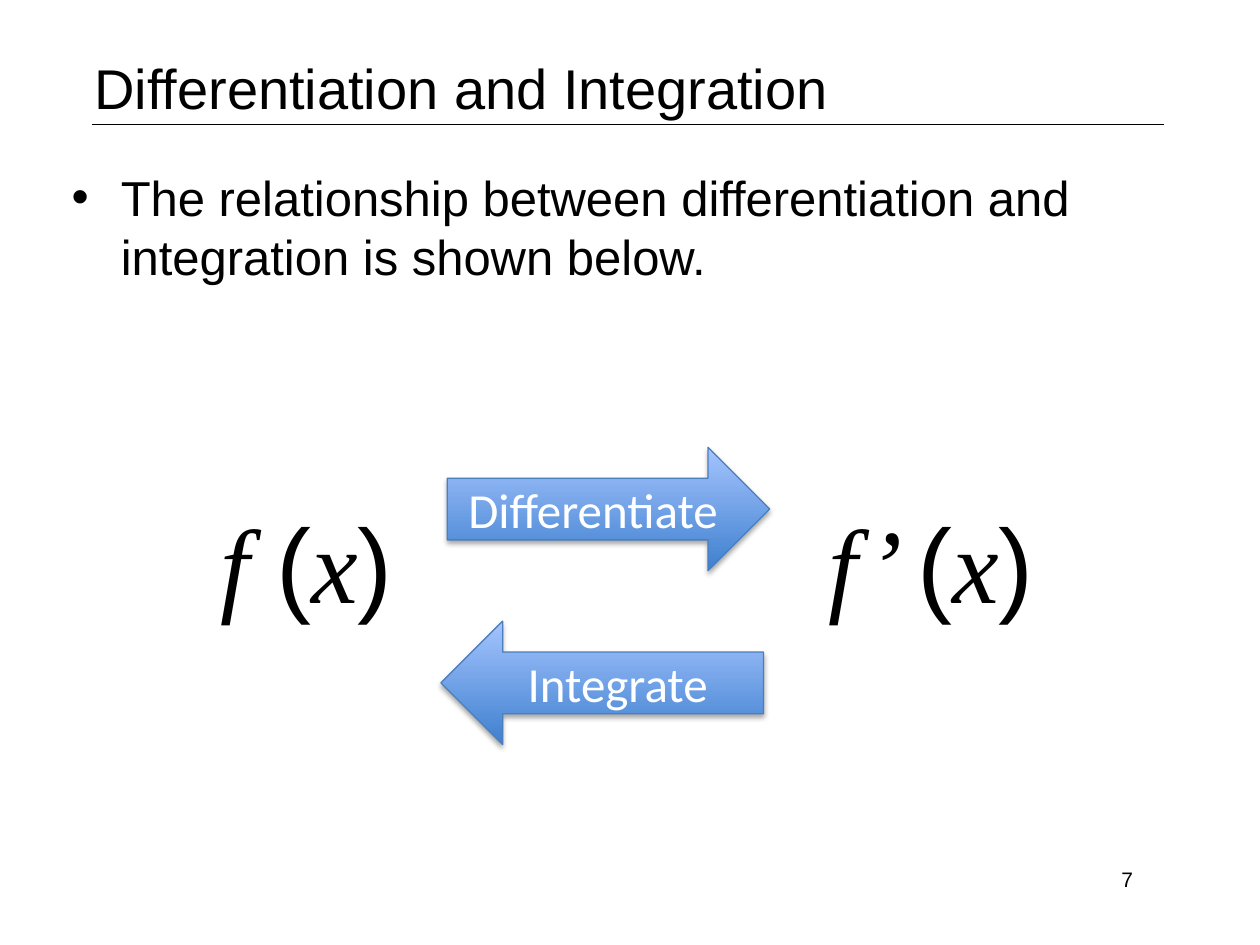
import pptx
import pptx.util
import pptx.dml.color
import pptx.enum.shapes
import pptx.enum.text
import lxml.etree
from dataclasses import dataclass

SHAPE = pptx.enum.shapes.MSO_SHAPE
ALIGN = pptx.enum.text.PP_ALIGN
ANCHOR = pptx.enum.text.MSO_ANCHOR
WIDTH, HEIGHT = 10, 7.5
NS = "http://schemas.openxmlformats.org/drawingml/2006/main"


@dataclass(frozen=True)
class Theme:
    ink: str = "000000"
    light: str = "FFFFFF"
    arrow_top: str = "A4C4FF"
    arrow_bottom: str = "3F80CE"
    arrow_line: str = "4B7EBC"
    sans: str = "Arial"
    math: str = "Times New Roman"
    label: str = "Calibri"
    title_size: int = 32
    body_size: int = 28
    math_size: int = 60
    number_size: int = 12


THEME = Theme()


def inches(*values):
    return [pptx.util.Inches(v) for v in values]


def rgb(value):
    return pptx.dml.color.RGBColor.from_string(value)


def add_xml(parent, tag, **attributes):
    return lxml.etree.SubElement(parent, f"{{{NS}}}{tag}", attributes)


def write(tf, text, size=THEME.body_size, font=THEME.sans, color=THEME.ink,
          align=ALIGN.LEFT, anchor=ANCHOR.TOP, bullet=None, indent=0):
    """Write text, given as a string or as (text, font, italic) runs."""
    tf.word_wrap = True
    tf.vertical_anchor = anchor
    p = tf.paragraphs[0]
    p.alignment = align
    if bullet:
        pPr = p._p.get_or_add_pPr()
        offset = pptx.util.Inches(indent)
        pPr.set("marL", str(offset))
        pPr.set("indent", str(-offset))
        add_xml(pPr, "buFont", typeface=font)
        add_xml(pPr, "buChar", char=bullet)
    runs = [(text, font, False)] if isinstance(text, str) else text
    for words, name, italic in runs:
        r = p.add_run()
        r.text = words
        r.font.name = name
        r.font.size = pptx.util.Pt(size)
        r.font.italic = italic
        r.font.color.rgb = rgb(color)


def add_text(s, box, text, **style):
    write(s.shapes.add_textbox(*inches(*box)).text_frame, text, **style)


def add_arrow(s, box, kind, text):
    sp = s.shapes.add_shape(kind, *inches(*box))
    sp.fill.gradient()
    sp.fill.gradient_angle = 90
    for stop, color in zip(sp.fill.gradient_stops, (THEME.arrow_bottom, THEME.arrow_top)):
        stop.color.rgb = rgb(color)
    sp.line.color.rgb = rgb(THEME.arrow_line)
    sp.line.width = pptx.util.Pt(0.75)
    # Soft shadow straight below
    sp.shadow.inherit = False
    effects = sp._element.spPr.find(f"{{{NS}}}effectLst")
    shadow = add_xml(effects, "outerShdw", blurRad=str(pptx.util.Pt(3.1)),
                     dist=str(pptx.util.Pt(1.8)), dir="5400000", rotWithShape="0")
    add_xml(add_xml(shadow, "srgbClr", val=THEME.ink), "alpha", val="35000")
    write(sp.text_frame, text, font=THEME.label, color=THEME.light,
          align=ALIGN.CENTER, anchor=ANCHOR.MIDDLE)


def add_header(s, box):
    x, y, w, h = box
    # Rule under the title
    rule_y = y + 0.84 * h
    line = s.shapes.add_connector(pptx.enum.shapes.MSO_CONNECTOR.STRAIGHT,
                                  *inches(x + 0.08, rule_y, x + w - 0.41, rule_y))
    line.line.color.rgb = rgb(THEME.ink)
    line.line.width = pptx.util.Pt(0.25)
    add_xml(line._element.spPr, "effectLst")
    # Title
    add_text(s, box, "Differentiation and Integration",
             size=THEME.title_size, anchor=ANCHOR.MIDDLE)


def add_body(s, box):
    add_text(s, box, "The relationship between differentiation and integration is shown below.",
             bullet="•", indent=0.39)


def add_diagram(s, box):
    x, y, w, h = box
    # Function on the left, derivative on the right
    formula_y, formula_h = y + 0.15 * h, 0.47 * h
    for name, left, width in (("f ", 0, 2.23), ("f’ ", w - 3.12, 3.12)):
        runs = [(name, THEME.math, True), ("(", THEME.sans, False),
                ("x", THEME.math, True), (")", THEME.sans, False)]
        add_text(s, (x + left, formula_y, width, formula_h), runs,
                 size=THEME.math_size, align=ALIGN.CENTER)
    # Arrows at the top and bottom of the region
    arrow_w, arrow_h = 2.56, 0.98
    add_arrow(s, (x + 2.23, y, arrow_w, arrow_h), SHAPE.RIGHT_ARROW, "Differentiate")
    add_arrow(s, (x + 2.18, y + h - arrow_h, arrow_w, arrow_h), SHAPE.LEFT_ARROW, "Integrate")


def add_page_number(s, box):
    add_text(s, box, "7", size=THEME.number_size, align=ALIGN.RIGHT)


def main():
    prs = pptx.Presentation()
    prs.slide_width, prs.slide_height = inches(WIDTH, HEIGHT)
    s = prs.slides.add_slide(prs.slide_layouts[6])
    add_header(s, (0.65, 0.25, 9, 0.88))
    add_body(s, (0.47, 1.28, 9.15, 1.19))
    add_diagram(s, (1.32, 3.55, 7.63, 2.36))
    add_page_number(s, (6.9, 6.83, 2.19, 0.4))
    prs.save("out.pptx")


if __name__ == "__main__":
    main()
